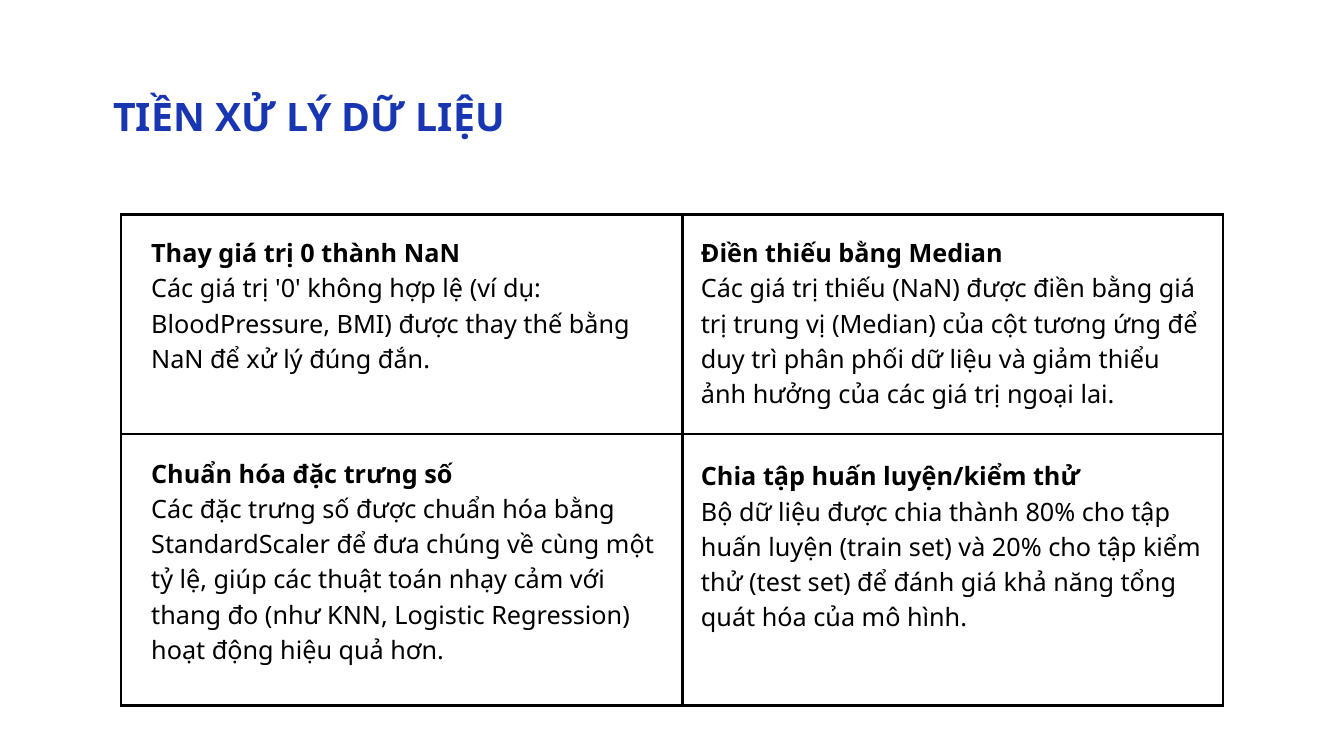
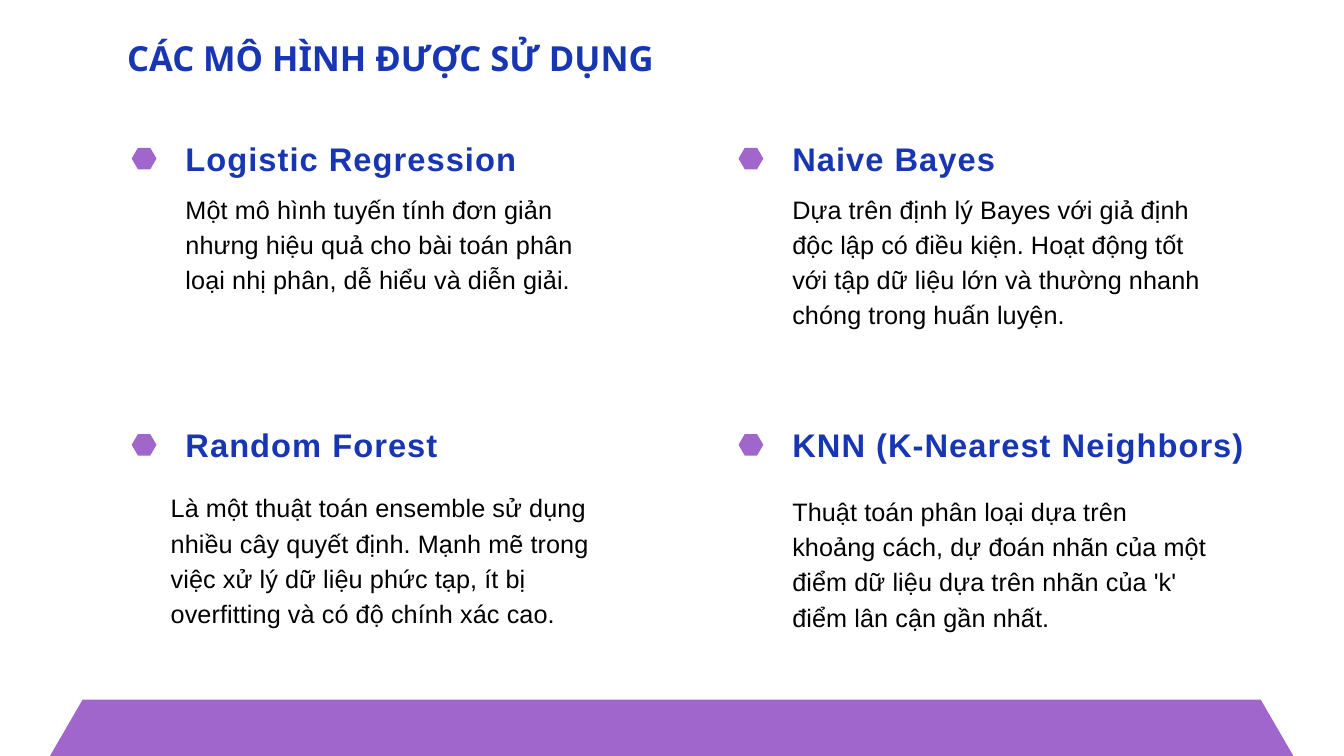
"""Build two slides on data preprocessing and the models used."""
from lxml.etree import SubElement
from pptx import Presentation
from pptx.dml.color import RGBColor
from pptx.enum.shapes import MSO_SHAPE
from pptx.enum.text import MSO_ANCHOR, MSO_AUTO_SIZE, PP_ALIGN
from pptx.oxml.ns import qn
from pptx.util import Pt

BLUE, PURPLE, BLACK, WHITE = "1836B2", "A066CB", "000000", "FFFFFF"
HEADING_FONT, BODY_FONT = "Noto Sans", "Arial"
BODY_SIZE, BODY_LINE = 27, 37.8
HEXAGON_CORNER = 0.29
TITLE_ONLY = 5

PREPROCESSING = [
    (162, 249.1, 537.8, "Thay giá trị 0 thành NaN",
     "Các giá trị '0' không hợp lệ (ví dụ: BloodPressure, BMI) được thay thế bằng "
     "NaN để xử lý đúng đắn."),
    (751, 249.1, 544.3, "Điền thiếu bằng Median",
     "Các giá trị thiếu (NaN) được điền bằng giá trị trung vị (Median) của cột tương "
     "ứng để duy trì phân phối dữ liệu và giảm thiểu ảnh hưởng của các giá trị ngoại lai."),
    (162, 485.3, 553, "Chuẩn hóa đặc trưng số",
     "Các đặc trưng số được chuẩn hóa bằng StandardScaler để đưa chúng về cùng một tỷ "
     "lệ, giúp các thuật toán nhạy cảm với thang đo (như KNN, Logistic Regression) "
     "hoạt động hiệu quả hơn."),
    (751, 488.2, 555.8, "Chia tập huấn luyện/kiểm thử",
     "Bộ dữ liệu được chia thành 80% cho tập huấn luyện (train set) và 20% cho tập kiểm "
     "thử (test set) để đánh giá khả năng tổng quát hóa của mô hình."),
]

MODELS = [
    ("Logistic Regression", 198.7, 202.3, 450,
     "Một mô hình tuyến tính đơn giản nhưng hiệu quả cho bài toán phân loại nhị phân, "
     "dễ hiểu và diễn giải."),
    ("Naive Bayes", 848.9, 202.3, 450,
     "Dựa trên định lý Bayes với giả định độc lập có điều kiện. Hoạt động tốt với tập "
     "dữ liệu lớn và thường nhanh chóng trong huấn luyện."),
    ("Random Forest", 182.9, 522.4, 463.7,
     "Là một thuật toán ensemble sử dụng nhiều cây quyết định. Mạnh mẽ trong việc xử lý "
     "dữ liệu phức tạp, ít bị overfitting và có độ chính xác cao."),
    ("KNN (K-Nearest Neighbors)", 848.9, 526.3, 450,
     "Thuật toán phân loại dựa trên khoảng cách, dự đoán nhãn của một điểm dữ liệu dựa "
     "trên nhãn của 'k' điểm lân cận gần nhất."),
]


def rgb(value):
    return RGBColor.from_string(value)


class Deck:
    def __init__(self):
        self.presentation = Presentation()
        self.presentation.slide_width = Pt(1440)
        self.presentation.slide_height = Pt(810)
        self.slide = None

    def new_slide(self, heading, left, top, width, height, size):
        layout = self.presentation.slide_layouts[TITLE_ONLY]
        self.slide = self.presentation.slides.add_slide(layout)
        background = self.slide.background.fill
        background.solid()
        background.fore_color.rgb = rgb(WHITE)
        title = self.slide.shapes.title
        title.left, title.top, title.width, title.height = map(Pt, (left, top, width, height))
        self.fill_frame(title.text_frame, [heading])
        self.style(title.text_frame.paragraphs[0], HEADING_FONT, size, size * 1.4,
                   BLUE, bold=True, align=PP_ALIGN.CENTER)

    def fill_frame(self, frame, lines):
        frame.margin_left = frame.margin_top = frame.margin_right = frame.margin_bottom = 0
        frame.word_wrap = True
        frame.vertical_anchor = MSO_ANCHOR.TOP
        frame.auto_size = MSO_AUTO_SIZE.SHAPE_TO_FIT_TEXT
        frame.text = "\n".join(lines)

    def style(self, paragraph, font, size, line, color, bold=False, align=PP_ALIGN.LEFT,
              tracking=0):
        paragraph.alignment = align
        paragraph.line_spacing = Pt(line)
        paragraph.space_before = paragraph.space_after = Pt(0)
        for run in paragraph.runs:
            run.font.name = font
            run.font.size = Pt(size)
            run.font.bold = bold
            run.font.color.rgb = rgb(color)
            if tracking:
                run._r.get_or_add_rPr().set("spc", str(round(tracking * 100)))

    def text(self, left, top, width, height, *lines):
        box = self.slide.shapes.add_textbox(Pt(left), Pt(top), Pt(width), Pt(height))
        self.fill_frame(box.text_frame, lines)
        return box.text_frame.paragraphs

    def hexagon(self, left, top, width, height):
        shape = self.slide.shapes.add_shape(
            MSO_SHAPE.HEXAGON, Pt(left), Pt(top), Pt(width), Pt(height))
        shape.adjustments[0] = HEXAGON_CORNER
        shape.shadow.inherit = False
        shape.fill.solid()
        shape.fill.fore_color.rgb = rgb(PURPLE)
        shape.line.fill.background()

    def grid(self, left, top, widths, heights):
        table = self.slide.shapes.add_table(
            len(heights), len(widths), Pt(left), Pt(top),
            Pt(sum(widths)), Pt(sum(heights))).table
        table.first_row = table.horz_banding = False
        for column, width in zip(table.columns, widths):
            column.width = Pt(width)
        for row, height in zip(table.rows, heights):
            row.height = Pt(height)
        for cell in table.iter_cells():
            self.border(cell)
            cell.fill.background()

    def border(self, cell):
        properties = cell._tc.get_or_add_tcPr()
        for side in ("a:lnL", "a:lnR", "a:lnT", "a:lnB"):
            edge = SubElement(properties, qn(side), w=str(Pt(3)))
            fill = SubElement(edge, qn("a:solidFill"))
            SubElement(fill, qn("a:srgbClr"), val=BLACK)


def preprocessing_slide(deck):
    deck.new_slide("TIỀN XỬ LÝ DỮ LIỆU", 80.6, 90, 501.1, 56.2, 42)
    deck.grid(129.6, 229.7, (601.9, 578.9), (235.4, 290.9))
    for left, top, width, step, detail in PREPROCESSING:
        heading, body = deck.text(left, top, width, 230, step, detail)
        deck.style(heading, HEADING_FONT, BODY_SIZE, BODY_LINE, BLACK, bold=True)
        deck.style(body, HEADING_FONT, BODY_SIZE, BODY_LINE, BLACK)


def models_slide(deck):
    deck.new_slide("CÁC MÔ HÌNH ĐƯỢC SỬ DỤNG", 80.6, 31.7, 675.4, 49.7, 37)
    deck.hexagon(53.3, 749.5, 1332.7, 121.7)
    for index, (model, left, top, width, detail) in enumerate(MODELS):
        row, column = divmod(index, 2)
        marker_left = 141.1 + column * 650.2
        marker_top = 158.4 + row * 306.7
        deck.hexagon(marker_left, marker_top, 26.6, 23)
        name, = deck.text(marker_left + 57.6, marker_top - 9.4, 496, 41.8, model)
        deck.style(name, BODY_FONT, 35, 42, BLUE, bold=True, tracking=1.1)
        body, = deck.text(left, top, width, 185.8, detail)
        deck.style(body, BODY_FONT, BODY_SIZE, BODY_LINE, BLACK, tracking=0.1)


def main():
    deck = Deck()
    preprocessing_slide(deck)
    models_slide(deck)
    deck.presentation.save("out.pptx")


if __name__ == "__main__":
    main()
